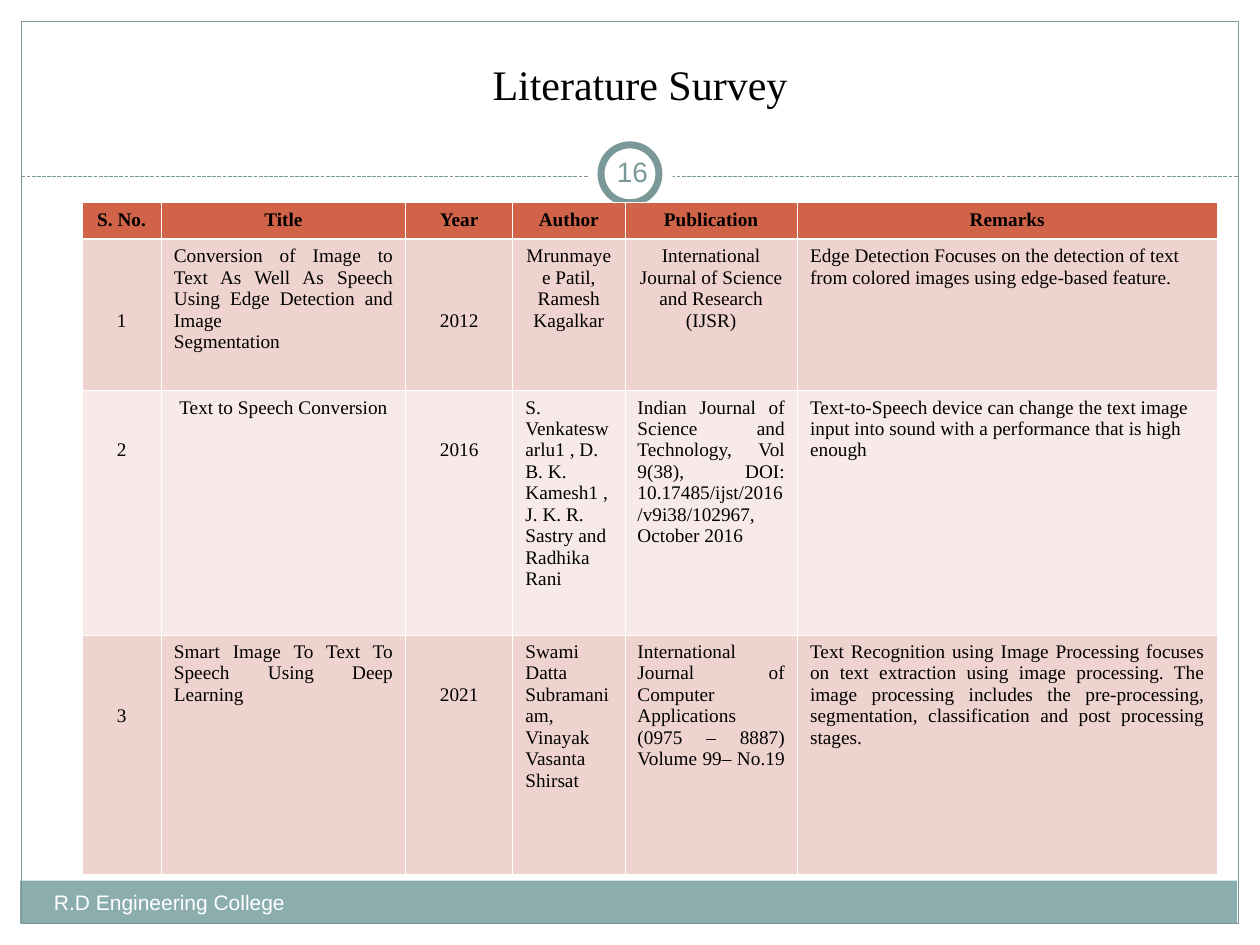
import pptx
import pptx.dml.color
import pptx.enum.dml
import pptx.enum.shapes
import pptx.enum.text
import pptx.oxml
import pptx.oxml.ns
import pptx.util

Inches, Pt = pptx.util.Inches, pptx.util.Pt
RGB = pptx.dml.color.RGBColor.from_string
SHAPE = pptx.enum.shapes.MSO_SHAPE
ALIGN = pptx.enum.text.PP_ALIGN
ANCHOR = pptx.enum.text.MSO_ANCHOR
L, C, J = ALIGN.LEFT, ALIGN.CENTER, ALIGN.JUSTIFY

THEME = {
    "teal": "7B9899", "band": "8CADAE", "white": "FFFFFF",
    "header": "D16349", "rows": ("EED3CF", "F7EAE9"),
    "title": {"size": Pt(24), "name": "Times New Roman", "color": "000000"},
    "head": {"size": Pt(11), "name": "Times New Roman", "color": "000000", "bold": True},
    "cell": {"size": Pt(11), "name": "Times New Roman", "color": "000000", "bold": False},
    "number": {"size": Pt(16), "name": "Arial", "color": "7B9899"},
    "footer": {"size": Pt(12), "name": "Arial", "color": "FFFFFF"},
}

TITLE = "Literature Survey"
PAGE_NUMBER = "16"
FOOTER = "R.D Engineering College"
HEADERS = ["S. No.", "Title", "Year", "Author", "Publication", "Remarks"]
# Each cell: text, alignment, and how many lines it sits below the top (default 0)
PAPERS = [
    [("1", C, 3),
     ("Conversion of Image to Text As Well As Speech Using Edge Detection and Image \n"
      "Segmentation ", J),
     ("2012", C, 3),
     ("Mrunmayee Patil, Ramesh Kagalkar", C),
     ("International Journal of Science and Research (IJSR)", C),
     ("Edge Detection Focuses on the detection of text from colored images using "
      "edge-based feature.", L)],
    [("2", C, 2),
     ("Text to Speech Conversion", C),
     ("2016", C, 2),
     ("S. Venkateswarlu1 , D. B. K. Kamesh1 , J. K. R. Sastry and Radhika Rani", L),
     ("Indian Journal of Science and Technology, Vol 9(38), DOI: "
      "10.17485/ijst/2016/v9i38/102967, October 2016", J),
     ("Text-to-Speech device can change the text image input into sound with a "
      "performance that is high enough", L)],
    [("3", C, 3),
     ("Smart Image To Text To Speech Using Deep Learning", J),
     ("2021", C, 2),
     ("Swami Datta Subramaniam, Vinayak Vasanta Shirsat ", J),
     ("International Journal of Computer Applications (0975 – 8887) "
      "Volume 99– No.19 ", J),
     ("Text Recognition using Image Processing focuses on text extraction using image "
      "processing. The image processing includes the pre-processing, segmentation, "
      "classification and post processing stages. ", J)],
]
COLUMNS = [0.63, 1.94, 0.85, 0.89, 1.37, 3.33]
ROWS = [0.29, 1.2, 1.94, 1.9]
LINE_HEIGHT = 0.17
THIN, THICK = 0.45, 1.47


def write(tf, text, style, align):
    tf.text = text
    for p in tf.paragraphs:
        p.alignment = align
        for r in p.runs:
            for key, value in style.items():
                if key == "color":
                    r.font.color.rgb = RGB(value)
                else:
                    setattr(r.font, key, value)


def add_shape(s, kind, box, fill=None, line=None, width=0.75):
    sp = s.shapes.add_shape(kind, *map(Inches, box))
    sp.shadow.inherit = False
    if fill:
        sp.fill.solid()
        sp.fill.fore_color.rgb = RGB(fill)
    else:
        sp.fill.background()
    if line:
        sp.line.color.rgb = RGB(line)
        sp.line.width = Pt(width)
    else:
        sp.line.fill.background()


def add_text(s, box, text, style, align, **frame):
    tf = s.shapes.add_textbox(*map(Inches, box)).text_frame
    for key, value in {"word_wrap": True, **frame}.items():
        setattr(tf, key, value)
    write(tf, text, style, align)


def add_borders(cell, widths):
    """Widths in points, keyed by side letter; call before the cell is filled."""
    for side, width in widths.items():
        cell._tc.get_or_add_tcPr().append(pptx.oxml.parse_xml(
            f'<a:ln{side} {pptx.oxml.ns.nsdecls("a")} w="{Pt(width)}"><a:solidFill>'
            f'<a:srgbClr val="{THEME["white"]}"/></a:solidFill></a:ln{side}>'))


def add_frame(s):
    white, teal = THEME["white"], THEME["teal"]
    add_shape(s, SHAPE.RECTANGLE, (0.16, 6.99, 9.66, 0.34), THEME["band"])
    add_shape(s, SHAPE.RECTANGLE, (0.17, 0.17, 9.66, 7.16), line=teal)
    rule = s.shapes.add_connector(pptx.enum.shapes.MSO_CONNECTOR.STRAIGHT,
                                  *map(Inches, (0.17, 1.4, 9.83, 1.4)))
    rule.line.color.rgb = RGB(teal)
    rule.line.width = Pt(0.75)
    rule.line.dash_style = pptx.enum.dml.MSO_LINE.SQUARE_DOT
    rule._element.spPr.append(
        pptx.oxml.parse_xml(f'<a:effectLst {pptx.oxml.ns.nsdecls("a")}/>'))
    add_shape(s, SHAPE.OVAL, (4.67, 1.05, 0.67, 0.67), white)
    add_shape(s, SHAPE.OVAL, (4.77, 1.15, 0.46, 0.46), white, teal, 4)


def add_survey(s):
    box = (0.65, 1.61, sum(COLUMNS), sum(ROWS))
    table = s.shapes.add_table(len(ROWS), len(COLUMNS), *map(Inches, box)).table
    for column, width in zip(table.columns, COLUMNS):
        column.width = Inches(width)
    for row, height in zip(table.rows, ROWS):
        row.height = Inches(height)
    for i, entries in enumerate([[(h, C) for h in HEADERS]] + PAPERS):
        fill = THEME["rows"][(i - 1) % 2] if i else THEME["header"]
        for j, (text, align, *drop) in enumerate(entries):
            cell = table.cell(i, j)
            add_borders(cell, {"L": THIN, "R": THIN, "T": THICK if i == 1 else THIN,
                               "B": THIN if i else THICK})
            cell.fill.solid()
            cell.fill.fore_color.rgb = RGB(fill)
            cell.margin_top = Inches(0.05 + LINE_HEIGHT * sum(drop))
            write(cell.text_frame, text, THEME["cell" if i else "head"], align)


def main():
    prs = pptx.Presentation()
    prs.slide_width, prs.slide_height = Inches(10), Inches(7.5)
    s = prs.slides.add_slide(prs.slide_layouts[5])
    add_frame(s)

    title = s.shapes.title
    title.left, title.top, title.width, title.height = map(Inches, (0.58, 0.25, 9, 0.83))
    title.text_frame.vertical_anchor = ANCHOR.MIDDLE
    write(title.text_frame, TITLE, THEME["title"], C)

    add_survey(s)
    inset = Inches(0.05)
    add_text(s, (4.77, 1.12, 0.5, 0.48), PAGE_NUMBER, THEME["number"], C,
             vertical_anchor=ANCHOR.MIDDLE, margin_left=inset, margin_right=inset)
    add_text(s, (0.33, 7.01, 3.92, 0.4), FOOTER, THEME["footer"], L)
    prs.save("out.pptx")


if __name__ == "__main__":
    main()
